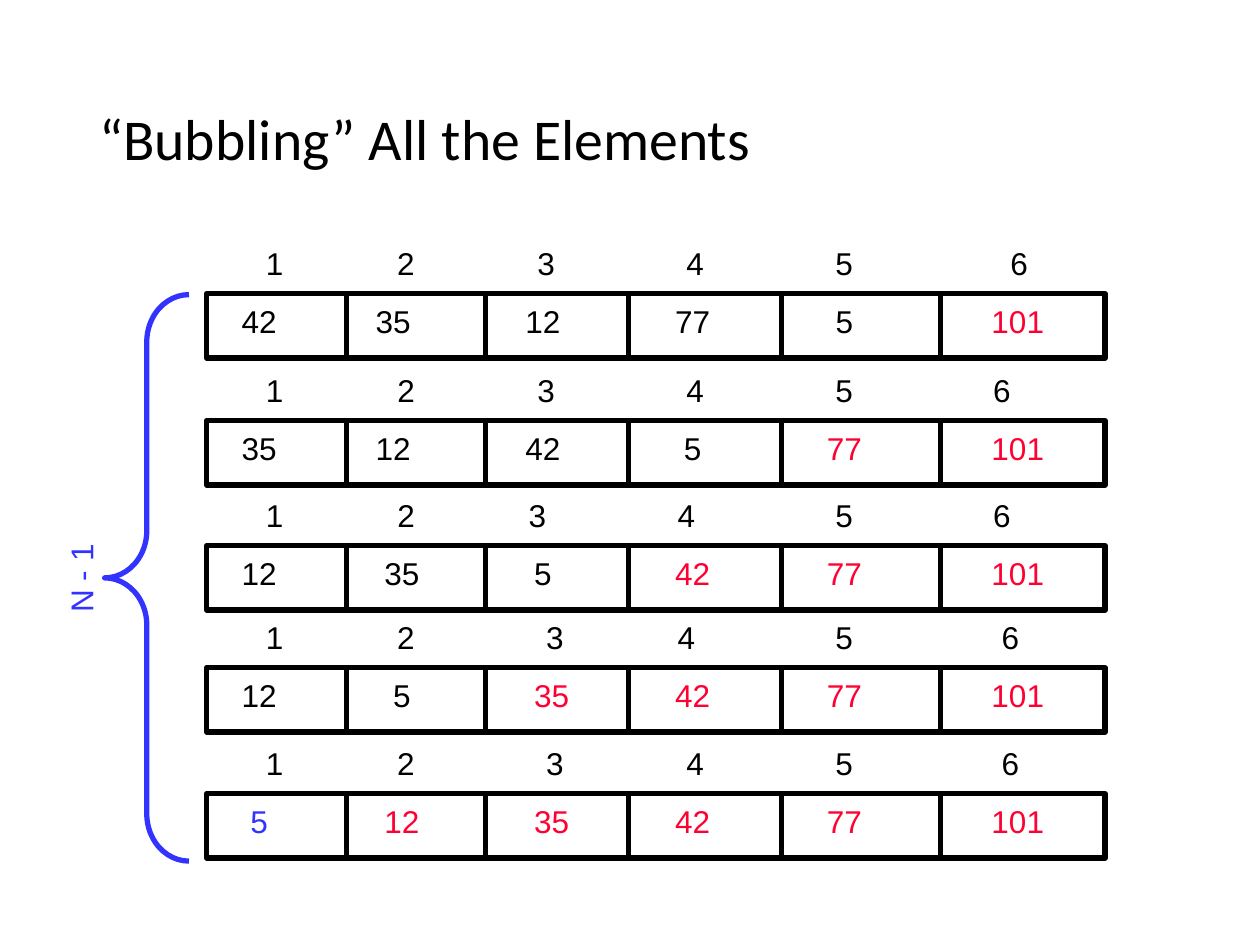
"""Build the slide showing every pass of a bubble sort on six elements."""
from dataclasses import dataclass
from itertools import accumulate

from lxml import etree
from pptx import Presentation
from pptx import util as u
from pptx.dml.color import RGBColor
from pptx.enum import shapes, text
from pptx.oxml import ns


@dataclass(frozen=True)
class Theme:
    ink: RGBColor = RGBColor(0x00, 0x00, 0x00)
    sorted: RGBColor = RGBColor(0xFF, 0x00, 0x33)
    accent: RGBColor = RGBColor(0x33, 0x33, 0xFF)
    title_font: str = "Calibri"
    body_font: str = "Arial"
    title_size: u.Pt = u.Pt(33)
    body_size: u.Pt = u.Pt(18)
    stroke: u.Pt = u.Pt(3)


@dataclass(frozen=True)
class Box:
    left: float
    top: float
    width: float
    height: float

    def lengths(self) -> tuple:
        return tuple(u.Cm(value) for value in (self.left, self.top, self.width, self.height))


@dataclass(frozen=True)
class Pass:
    """One array row; offsets and index gaps are counted in space widths."""
    top: float
    values: tuple[int, ...]
    offsets: tuple[int, ...]
    index_gaps: tuple[int, ...]


THEME = Theme()
SPACE = 0.1766
INSET_X, INSET_Y = 0.25, 0.13
TEXT_HEIGHT = 1.02
ARRAY_LEFT, ARRAY_WIDTH, ARRAY_HEIGHT = 4.17, 18.11, 1.3
DIVIDERS = (6.98, 9.79, 12.67, 15.76, 18.96)
VALUE_LEFTS = (4.62, 7.32, 10.34, 13.36, 16.24, 19.56)
INDEX_LEFT, INDEX_RISE = 5.11, 1.14

PASSES = (
    Pass(5.92, (42, 35, 12, 77, 5, 101), (0, 0, 0, 0, 2, 1), (15, 16, 17, 17, 20)),
    Pass(8.48, (35, 12, 42, 5, 77, 101), (0, 0, 0, 1, 1, 1), (15, 16, 17, 17, 18)),
    Pass(11.0, (12, 35, 5, 42, 77, 101), (0, 1, 1, 0, 1, 1), (15, 15, 17, 18, 18)),
    Pass(13.46, (12, 5, 35, 42, 77, 101), (0, 2, 1, 0, 1, 1), (15, 17, 15, 18, 19)),
    Pass(16.0, (5, 12, 35, 42, 77, 101), (1, 1, 1, 0, 1, 1), (15, 17, 16, 17, 19)),
)


def add_text(parent, box: Box, wording: str, color: RGBColor = THEME.ink,
             align=text.PP_ALIGN.CENTER, left_inset: float = INSET_X,
             right_inset: float = INSET_X, wrap: bool = True, tabs: tuple = (),
             font_name: str = THEME.body_font, size: u.Pt = THEME.body_size):
    """Add a text box holding one paragraph."""
    shape = parent.add_textbox(*box.lengths())
    frame = shape.text_frame
    frame.word_wrap = wrap
    frame.margin_left, frame.margin_right = u.Cm(left_inset), u.Cm(right_inset)
    frame.margin_top = frame.margin_bottom = u.Cm(INSET_Y)
    paragraph = frame.paragraphs[0]
    paragraph.text = wording
    paragraph.alignment = align
    if tabs:
        properties = paragraph._p.get_or_add_pPr()
        tab_list = etree.SubElement(properties, ns.qn("a:tabLst"))
        for position in tabs:
            etree.SubElement(tab_list, ns.qn("a:tab"), pos=str(u.Cm(position)), algn="l")
    paragraph.font.name = font_name
    paragraph.font.size = size
    paragraph.font.color.rgb = color
    return shape


def add_outline(parent, kind, box: Box, color: RGBColor):
    """Add an unfilled preset shape."""
    shape = parent.add_shape(kind, *box.lengths())
    shape.shadow.inherit = False
    shape.fill.background()
    shape.line.color.rgb = color
    shape.line.width = THEME.stroke
    return shape


def add_divider(parent, x: float, top: float) -> None:
    """Add a vertical line between two array cells."""
    divider = parent.add_connector(shapes.MSO_CONNECTOR.STRAIGHT, u.Cm(x), u.Cm(top),
                                   u.Cm(x), u.Cm(top + ARRAY_HEIGHT))
    divider.line.color.rgb = THEME.ink
    divider.line.width = THEME.stroke
    etree.SubElement(divider._element.spPr, ns.qn("a:effectLst"))


def value_color(row: int, column: int) -> RGBColor:
    """Return red for settled values and blue for the one left over."""
    first_sorted = len(DIVIDERS) - row
    if column >= first_sorted:
        return THEME.sorted
    return THEME.accent if first_sorted == 1 else THEME.ink


def add_pass(slide, row: int, array: Pass) -> None:
    """Draw one array with its index labels and values."""
    parent = slide.shapes.add_group_shape().shapes
    add_outline(parent, shapes.MSO_SHAPE.RECTANGLE,
                Box(ARRAY_LEFT, array.top, ARRAY_WIDTH, ARRAY_HEIGHT), THEME.ink)
    for x in DIVIDERS:
        add_divider(parent, x, array.top)
    for column, (left, value, offset) in enumerate(zip(VALUE_LEFTS, array.values, array.offsets)):
        width = 2 * INSET_X + SPACE * (offset + 2 * len(str(value)))
        add_text(parent, Box(left, array.top + 0.03, width, TEXT_HEIGHT), str(value),
                 value_color(row, column), text.PP_ALIGN.RIGHT, left_inset=0)
    tabs = tuple(gap * SPACE for gap in accumulate(array.index_gaps))
    add_text(parent, Box(INDEX_LEFT, array.top - INDEX_RISE,
                         tabs[-1] + 2 * SPACE + 2 * INSET_X, TEXT_HEIGHT),
             "\t".join(str(index + 1) for index in range(len(array.values))),
             align=text.PP_ALIGN.LEFT, right_inset=0, tabs=tabs)


def main() -> None:
    """Build and save the presentation."""
    presentation = Presentation()
    presentation.slide_width, presentation.slide_height = u.Cm(25.4), u.Cm(19.05)
    slide = presentation.slides.add_slide(presentation.slide_layouts[6])
    title = add_text(slide.shapes, Box(1.75, 1.02, 21.92, 3.68), "“Bubbling” All the Elements",
                     align=text.PP_ALIGN.LEFT, font_name=THEME.title_font, size=THEME.title_size)
    title.text_frame.vertical_anchor = text.MSO_ANCHOR.MIDDLE
    title.text_frame.paragraphs[0].line_spacing = 0.9
    for row, array in enumerate(PASSES):
        add_pass(slide, row, array)
    parent = slide.shapes.add_group_shape().shapes
    brace = add_outline(parent, shapes.MSO_SHAPE.LEFT_BRACE,
                        Box(2.11, 5.94, 1.7, 11.42), THEME.accent)
    brace.adjustments[0] = 0.56
    label = add_text(parent, Box(0.69, 11.15, 1.88, TEXT_HEIGHT), "N - 1",
                     THEME.accent, wrap=False)
    label.rotation = 270
    presentation.save("out.pptx")


if __name__ == "__main__":
    main()
